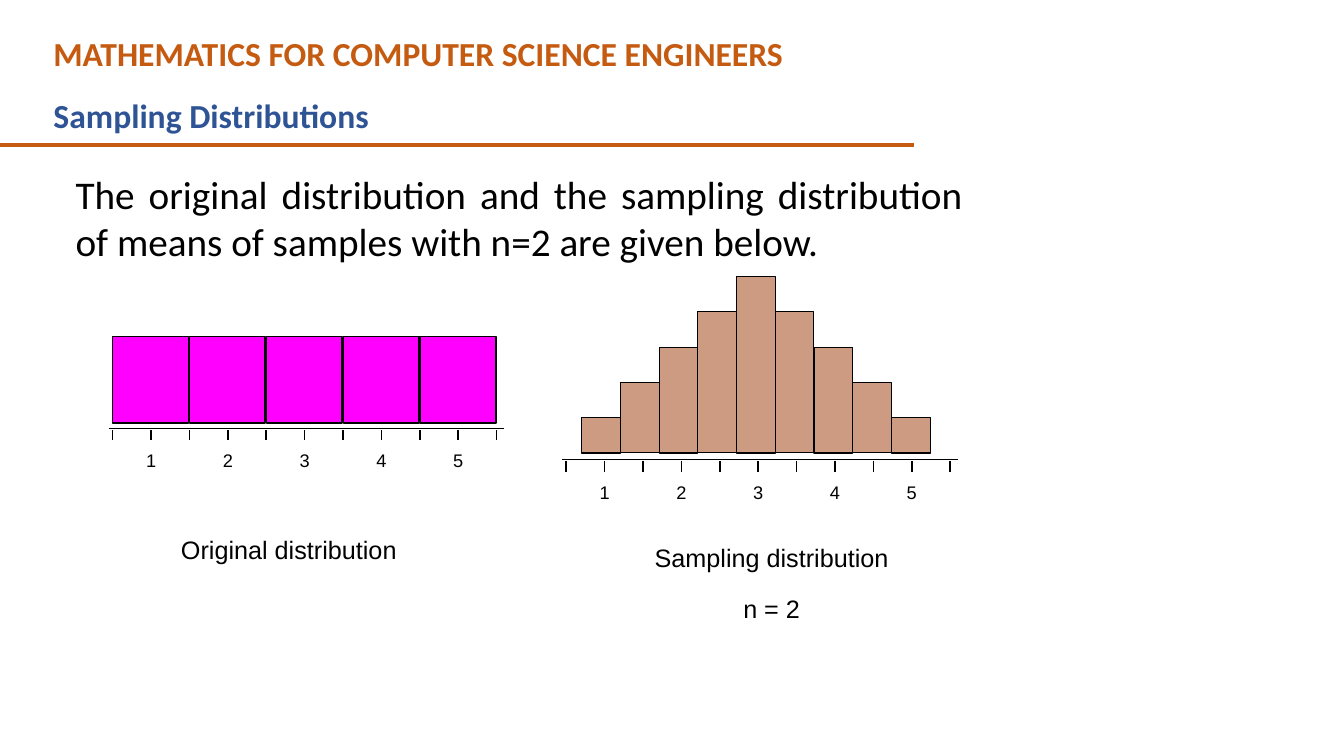
from lxml.etree import SubElement
from pptx import Presentation
from pptx.dml.color import RGBColor
from pptx.enum.shapes import MSO_CONNECTOR, MSO_SHAPE
from pptx.enum.text import MSO_ANCHOR, MSO_AUTO_SIZE, PP_ALIGN
from pptx.oxml.ns import qn
from pptx.util import Pt

# Content
COURSE = "MATHEMATICS FOR COMPUTER SCIENCE ENGINEERS"
TOPIC = "Sampling Distributions"
STATEMENT = ("The original distribution and the sampling distribution "
             "of means of samples with n=2 are given below.")
AXIS_VALUES = [1, 2, 3, 4, 5]
COLORS = {"orange": "C55A11", "blue": "2F5496", "black": "000000",
          "magenta": "FF00FF", "brown": "993300"}

# One entry per histogram, lengths in points
HISTOGRAMS = [
    {"counts": [1, 1, 1, 1, 1], "left": 80.4, "base": 302, "unit": 61.6,
     "pitch": 54.95, "bar_width": 54.2, "fill": "magenta", "opacity": 100,
     "outline": 1.13, "axis_left": 77.8, "axis_y": 306,
     "caption": ["Original distribution"], "caption_box": (96.5, 378, 219.6, 36)},
    {"counts": [1, 2, 3, 4, 5, 4, 3, 2, 1], "left": 415.5, "base": 323.6, "unit": 25.2,
     "pitch": 27.66, "bar_width": 27.66, "fill": "brown", "opacity": 49,
     "outline": 0.75, "axis_left": 401.8, "axis_y": 328.3,
     "caption": ["Sampling distribution", "n = 2"], "caption_box": (432.7, 383.8, 236.9, 80)},
]
AXIS_LENGTH = 282.2
TICK_INSET, TICK_PITCH = 2.7, 27.42
TICK_GAP, TICK_LENGTH = 1.3, 7.3
LABEL_DROP, LABEL_WIDTH, LABEL_HEIGHT = 15.2, 7.2, 15.8


def rgb(name):
    return RGBColor.from_string(COLORS[name])


def place(shape, left, top, width, height):
    shape.left, shape.top = Pt(left), Pt(top)
    shape.width, shape.height = Pt(width), Pt(height)


def write(shape, lines, size, color, font="Calibri", bold=False,
          align=PP_ALIGN.LEFT, gap=0, inset=(7.2, 3.6), wrap=True):
    frame = shape.text_frame
    frame.text = "\n".join(lines)
    frame.word_wrap = wrap
    frame.auto_size = MSO_AUTO_SIZE.NONE
    frame.vertical_anchor = MSO_ANCHOR.TOP
    frame.margin_left = frame.margin_right = Pt(inset[0])
    frame.margin_top = frame.margin_bottom = Pt(inset[1])
    for index, paragraph in enumerate(frame.paragraphs):
        paragraph.alignment = align
        paragraph.space_before = Pt(gap if index else 0)
        for run in paragraph.runs:
            run.font.name, run.font.size, run.font.bold = font, Pt(size), bold
            run.font.color.rgb = rgb(color)


def add_line(shapes, x1, y1, x2, y2, color, width):
    line = shapes.add_connector(MSO_CONNECTOR.STRAIGHT, Pt(x1), Pt(y1), Pt(x2), Pt(y2))
    line.line.color.rgb = rgb(color)
    line.line.width = Pt(width)
    SubElement(line._element.spPr, qn("a:effectLst"))


def add_bar(shapes, hist, index, count):
    height = count * hist["unit"]
    bar = shapes.add_shape(MSO_SHAPE.RECTANGLE, Pt(hist["left"] + index * hist["pitch"]),
                           Pt(hist["base"] - height), Pt(hist["bar_width"]), Pt(height))
    bar.shadow.inherit = False
    bar.fill.solid()
    bar.fill.fore_color.rgb = rgb(hist["fill"])
    if hist["opacity"] < 100:
        color = bar._element.spPr.find(".//" + qn("a:srgbClr"))
        SubElement(color, qn("a:alpha"), val=str(hist["opacity"] * 1000))
    bar.line.color.rgb = rgb("black")
    bar.line.width = Pt(hist["outline"])


def add_histogram(slide, hist):
    shapes = slide.shapes.add_group_shape().shapes
    for index, count in enumerate(hist["counts"]):
        add_bar(shapes, hist, index, count)

    # Axis: a tick at every half unit, a label at every whole value
    axis_left, axis_y = hist["axis_left"], hist["axis_y"]
    add_line(shapes, axis_left, axis_y, axis_left + AXIS_LENGTH, axis_y, "black", 1)
    ticks = [axis_left + TICK_INSET + i * TICK_PITCH
             for i in range(2 * len(AXIS_VALUES) + 1)]
    tick_top = axis_y + TICK_GAP
    for x in ticks:
        add_line(shapes, x, tick_top, x, tick_top + TICK_LENGTH, "black", 1.13)
    for value, x in zip(AXIS_VALUES, ticks[1::2]):
        label = shapes.add_textbox(Pt(x - LABEL_WIDTH / 2), Pt(axis_y + LABEL_DROP),
                                   Pt(LABEL_WIDTH), Pt(LABEL_HEIGHT))
        write(label, [str(value)], 13, "black", "Arial", align=PP_ALIGN.CENTER,
              inset=(0, 0), wrap=False)

    caption = slide.shapes.add_textbox(*map(Pt, hist["caption_box"]))
    write(caption, hist["caption"], 18, "black", "Arial", align=PP_ALIGN.CENTER, gap=15)


def main():
    deck = Presentation()
    deck.slide_width, deck.slide_height = Pt(960), Pt(540)
    slide = deck.slides.add_slide(deck.slide_layouts[1])

    # Headings and rule
    add_line(slide.shapes, -0.7, 103.7, 653, 103.7, "orange", 3)
    course = slide.shapes.add_textbox(Pt(31), Pt(20.2), Pt(590.4), Pt(36))
    write(course, [COURSE], 24, "orange", bold=True)
    topic = slide.shapes.title
    place(topic, 31, 64.1, 499, 36)
    write(topic, [TOPIC], 24, "blue", bold=True)

    # Statement, without the bullet of the body placeholder
    statement = slide.placeholders[1]
    place(statement, 46.8, 118.1, 648, 131.8)
    write(statement, [STATEMENT], 28, "black", align=PP_ALIGN.JUSTIFY)
    properties = statement.text_frame.paragraphs[0]._p.get_or_add_pPr()
    properties.set("marL", "0")
    properties.set("indent", "0")
    SubElement(properties, qn("a:buNone"))

    # Histograms
    for hist in HISTOGRAMS:
        add_histogram(slide, hist)

    deck.save("out.pptx")


if __name__ == "__main__":
    main()
